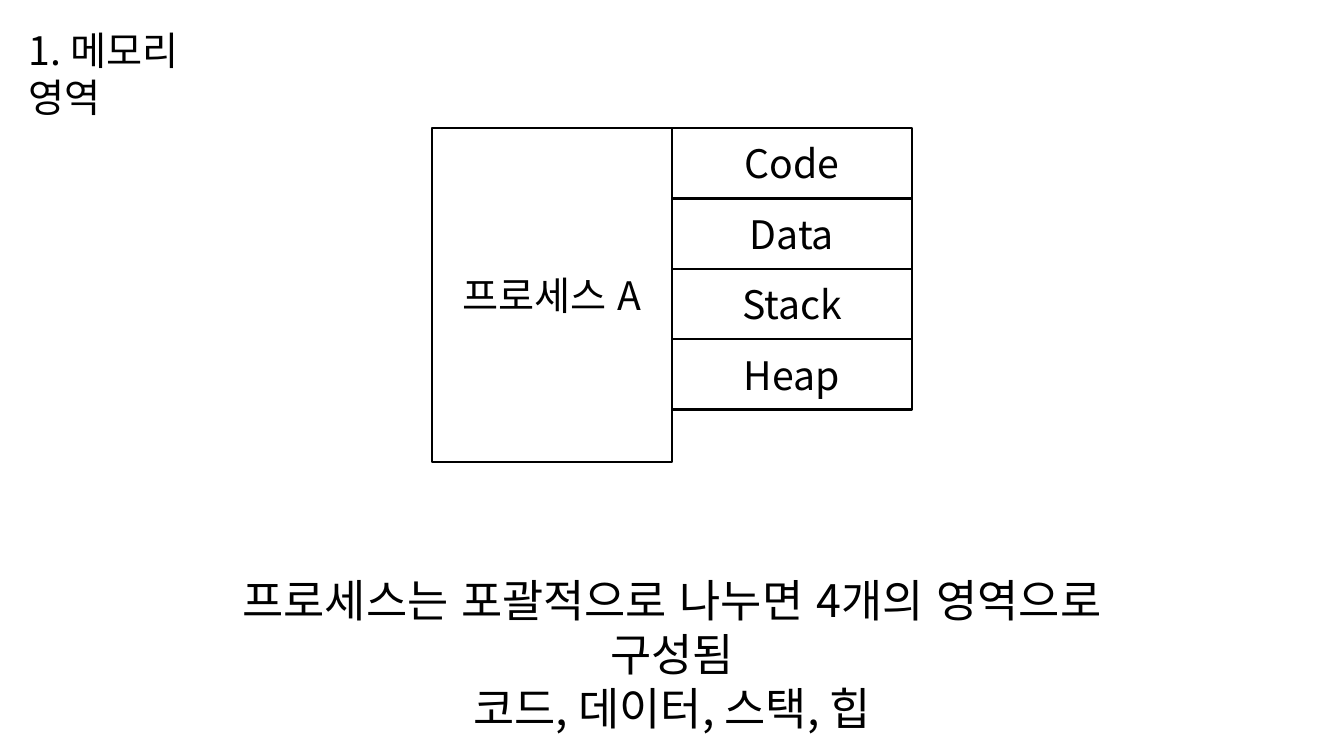
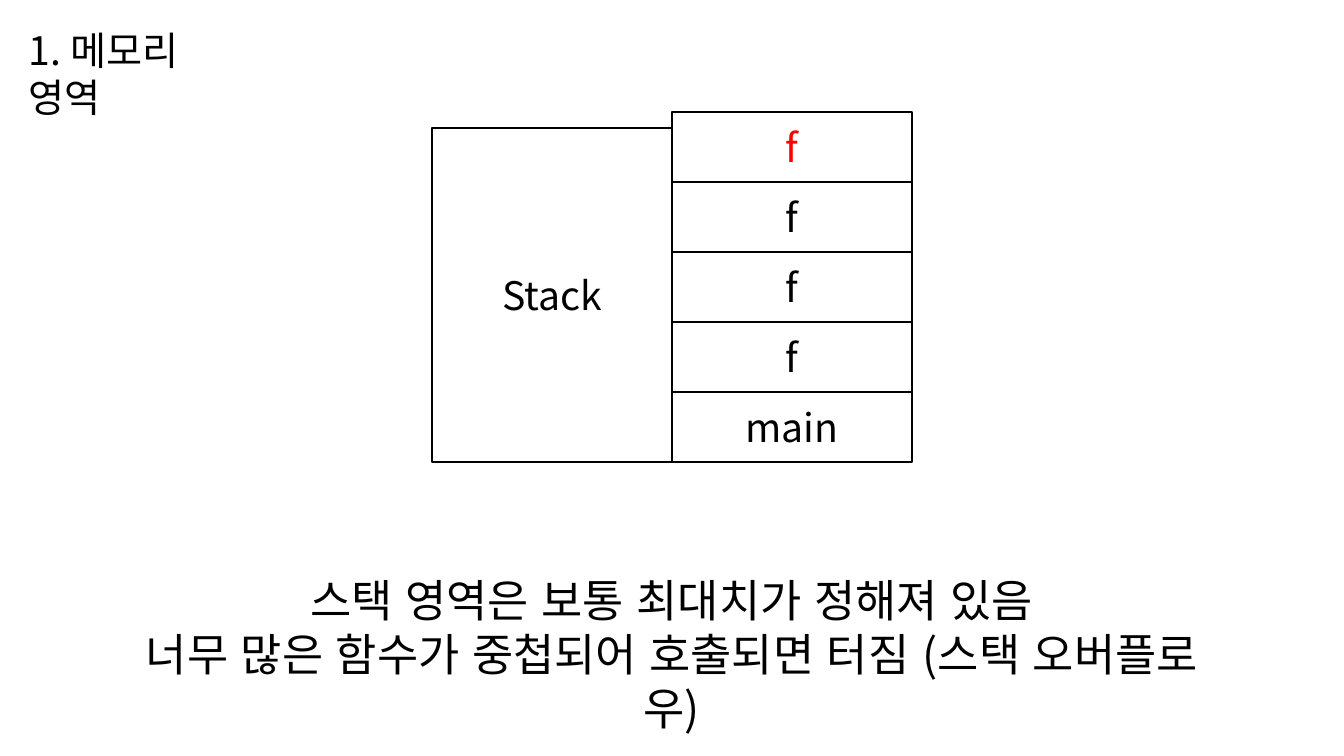
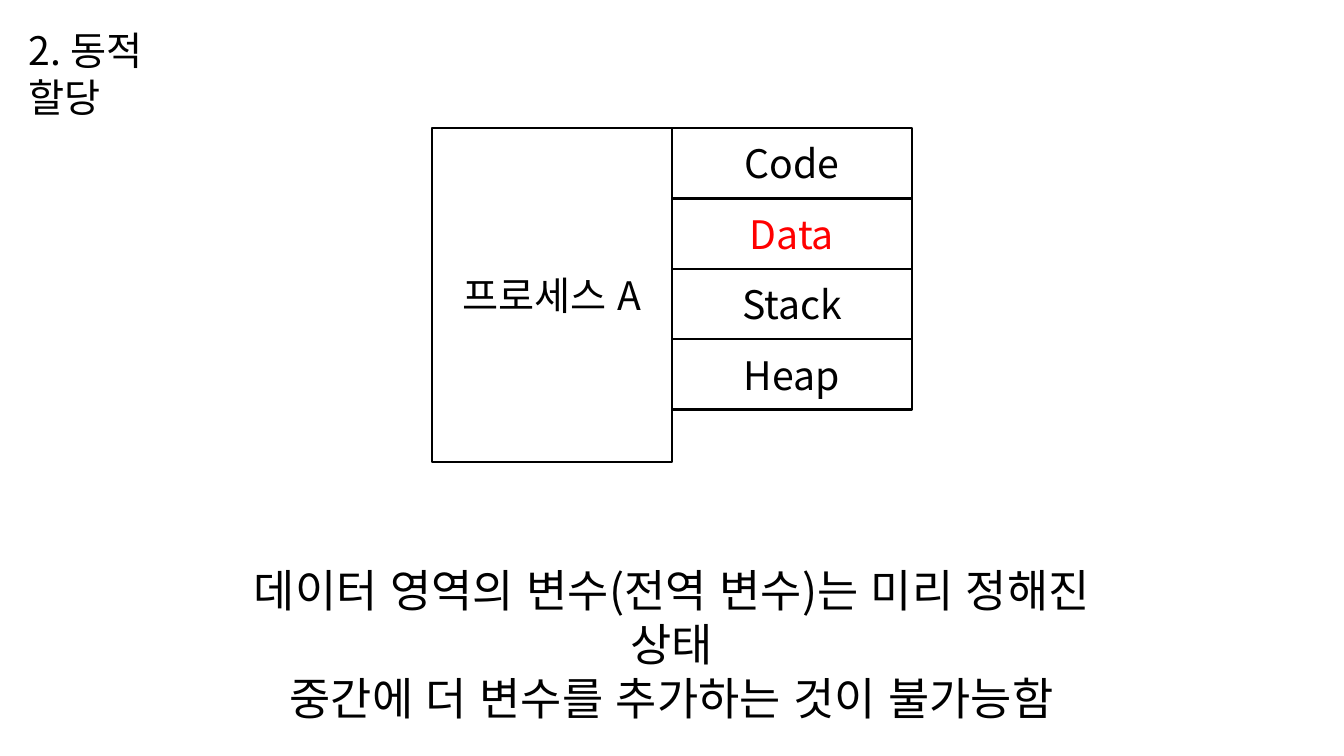
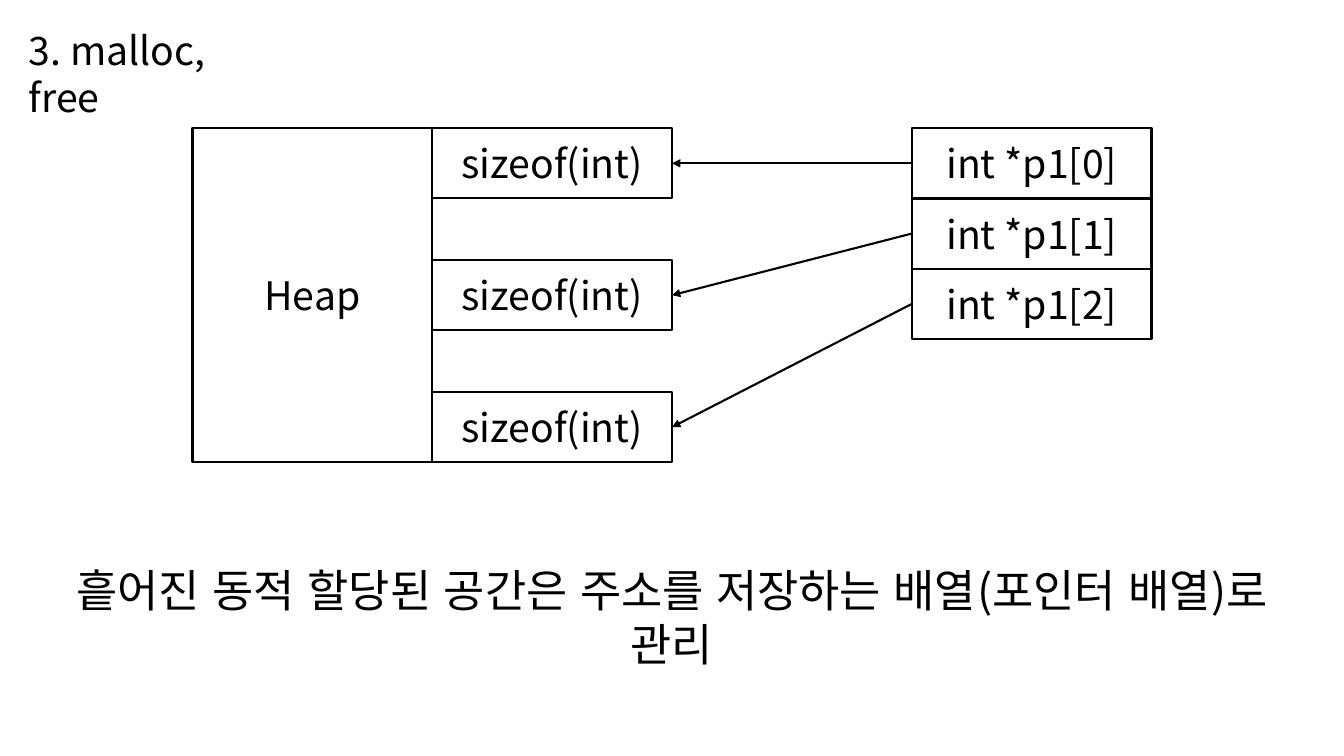
import pptx
import pptx.util
import pptx.dml.color
import pptx.enum.lang
import pptx.enum.shapes
import pptx.enum.text
import pptx.oxml.ns
from lxml import etree

PX = 3175
SLIDE_W, SLIDE_H = 3840, 2160
FONT = "Noto Sans CJK KR"
COLORS = {"ink": "000000", "paper": "FFFFFF", "accent": "FF0000"}
TITLE_SIZE, CAPTION_SIZE, BOX_SIZE = 28, 32, 28
LINE_WIDTH = 1.5

TITLE_LEFT, TITLE_TOP = 54, 60
COLUMN_LEFT, COLUMN_W = 550, 685
AREA_TOP, AREA_H, CELL_H = 366, 955, 201
OVERLAP = 1

PROCESS_PARTS = ["Code", "Data", "Stack", "Heap"]
CALLS = ["f", "f", "f", "f", "main"]
BLOCKS = ["sizeof(int)"] * 3
POINTERS = ["int *p1[0]", "int *p1[1]", "int *p1[2]"]

SLIDES = [
    {
        "title": ("1. 메모리 영역", 696),
        "caption": (["프로세스는 포괄적으로 나누면 4개의 영역으로 구성됨", "코드, 데이터, 스택, 힙"], 1623, 2884),
        "area": ("프로세스 A", 1),
        "stacks": [{"cells": PROCESS_PARTS, "column": 2, "align": "top"}],
    },
    {
        "title": ("1. 메모리 영역", 696),
        "caption": (["스택 영역은 보통 최대치가 정해져 있음",
                     "너무 많은 함수가 중첩되어 호출되면 터짐 (스택 오버플로우)"], 1623, 3214),
        "area": ("Stack", 1),
        "stacks": [{"cells": CALLS, "column": 2, "align": "bottom", "accent": 0}],
    },
    {
        "title": ("2. 동적 할당", 600),
        "caption": (["데이터 영역의 변수(전역 변수)는 미리 정해진 상태",
                     "중간에 더 변수를 추가하는 것이 불가능함"], 1594, 2678),
        "area": ("프로세스 A", 1),
        "stacks": [{"cells": PROCESS_PARTS, "column": 2, "align": "top", "accent": 1}],
    },
    {
        "title": ("3. malloc, free", 776),
        "caption": (["흩어진 동적 할당된 공간은 주소를 저장하는 배열(포인터 배열)로 관리"], 1594, 3718),
        "area": ("Heap", 0),
        "stacks": [
            {"cells": BLOCKS, "column": 1, "align": "spread"},
            {"cells": POINTERS, "column": 3, "align": "top"},
        ],
        "arrows": True,
    },
]


def px(*lengths):
    return [pptx.util.Emu(length * PX) for length in lengths]


def rgb(name):
    return pptx.dml.color.RGBColor.from_string(COLORS[name])


def write(frame, lines, size, color="ink", centered=True):
    frame.text = "\n".join(lines)
    frame.word_wrap = True
    for para in frame.paragraphs:
        if centered:
            para.alignment = pptx.enum.text.PP_ALIGN.CENTER
        for span in para.runs:
            span.font.size = pptx.util.Pt(size)
            span.font.name = FONT
            span.font.language_id = pptx.enum.lang.MSO_LANGUAGE_ID.KOREAN
            span.font.color.rgb = rgb(color)
            east_asian = etree.SubElement(span.font._element, pptx.oxml.ns.qn("a:ea"))
            east_asian.set("typeface", FONT)


def add_text(page, lines, left, top, width, size, centered):
    line_height = 164 if size == TITLE_SIZE else 184
    box = page.shapes.add_textbox(*px(left, top, width, line_height * len(lines)))
    write(box.text_frame, lines, size, centered=centered)
    box.text_frame.auto_size = pptx.enum.text.MSO_AUTO_SIZE.SHAPE_TO_FIT_TEXT


def add_box(page, label, column, top, height, color="ink"):
    left = COLUMN_LEFT + column * COLUMN_W
    box = page.shapes.add_shape(
        pptx.enum.shapes.MSO_SHAPE.RECTANGLE, *px(left, top, COLUMN_W, height))
    box.shadow.inherit = False
    box.fill.solid()
    box.fill.fore_color.rgb = rgb("paper")
    box.line.color.rgb = rgb("ink")
    box.line.width = pptx.util.Pt(LINE_WIDTH)
    box.text_frame.vertical_anchor = pptx.enum.text.MSO_ANCHOR.MIDDLE
    write(box.text_frame, [label], BOX_SIZE, color)
    return box


def add_stack(page, cells, column, align, accent=None):
    top, pitch = AREA_TOP, CELL_H
    if align == "bottom":
        pitch = CELL_H - OVERLAP
        top = AREA_TOP + AREA_H - CELL_H - pitch * (len(cells) - 1)
    elif align == "spread":
        pitch = (AREA_H - CELL_H) // (len(cells) - 1)
    return [
        add_box(page, label, column, top + row * pitch, CELL_H,
                "accent" if row == accent else "ink")
        for row, label in enumerate(cells)
    ]


def add_arrow(page, source, target):
    arrow = page.shapes.add_connector(pptx.enum.shapes.MSO_CONNECTOR.STRAIGHT, 0, 0, 0, 0)
    arrow.begin_connect(source, 1)
    arrow.end_connect(target, 3)
    arrow.line.color.rgb = rgb("ink")
    arrow.line.width = pptx.util.Pt(LINE_WIDTH)
    outline = arrow.line._get_or_add_ln()
    etree.SubElement(outline, pptx.oxml.ns.qn("a:tailEnd")).set("type", "triangle")
    etree.SubElement(arrow._element.spPr, pptx.oxml.ns.qn("a:effectLst"))


def build_slide(deck, content):
    page = deck.slides.add_slide(deck.slide_layouts[6])
    title, title_width = content["title"]
    add_text(page, [title], TITLE_LEFT, TITLE_TOP, title_width, TITLE_SIZE, False)
    lines, top, width = content["caption"]
    add_text(page, lines, (SLIDE_W - width) // 2, top, width, CAPTION_SIZE, True)
    label, column = content["area"]
    add_box(page, label, column, AREA_TOP, AREA_H)
    stacks = [add_stack(page, **stack) for stack in content["stacks"]]
    if content.get("arrows"):
        blocks, pointers = stacks
        for pointer, block in zip(pointers, blocks):
            add_arrow(page, pointer, block)


def main():
    deck = pptx.Presentation()
    deck.slide_width, deck.slide_height = px(SLIDE_W, SLIDE_H)
    for content in SLIDES:
        build_slide(deck, content)
    deck.save("out.pptx")


if __name__ == "__main__":
    main()
